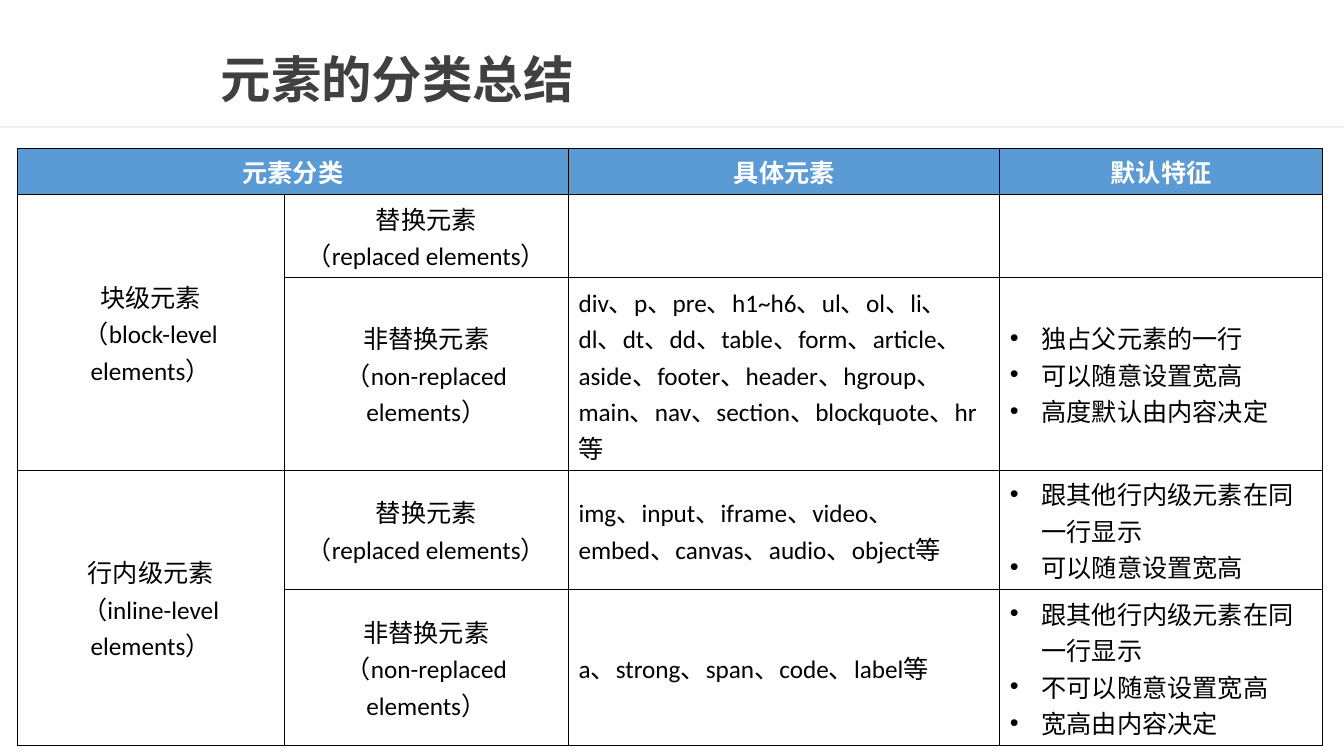
from lxml import etree
from pptx import Presentation
from pptx.dml.color import RGBColor
from pptx.enum.shapes import MSO_SHAPE
from pptx.enum.text import MSO_ANCHOR, PP_ALIGN
from pptx.oxml.ns import qn
from pptx.util import Pt

RECT = MSO_SHAPE.RECTANGLE
MIDDLE = MSO_ANCHOR.MIDDLE
LEFT, CENTER = PP_ALIGN.LEFT, PP_ALIGN.CENTER

COLORS = {"title": "404040", "rule": "EAEAEA", "head": "5B9BD5",
          "white": "FFFFFF", "black": "000000"}
LATIN, CJK = "Calibri", "Noto Sans CJK SC"
LINE, PAD = 26, 7.2  # height of a text line, and a cell's vertical margins

COLS = [190.8, 203.04, 308.16, 230.4]
LINES = [1, 2, 5, 3, 4]  # text lines in each row
MERGES = [(0, 0, 0, 1), (1, 0, 2, 0), (3, 0, 4, 0)]
REPLACED = ["替换元素", "（replaced elements）"]
PLAIN = ["非替换元素", "（non-replaced elements）"]
ROWS = [
    [["元素分类"], [], ["具体元素"], ["默认特征"]],
    [["块级元素", "（block-level elements）"], REPLACED, [], []],
    [[], PLAIN,
     ["div、p、pre、h1~h6、ul、ol、li、dl、dt、dd、table、form、article、aside、"
      "footer、header、hgroup、main、nav、section、blockquote、hr等"],
     ["独占父元素的一行", "可以随意设置宽高", "高度默认由内容决定"]],
    [["行内级元素", "（inline-level elements）"], REPLACED,
     ["img、input、iframe、video、embed、canvas、audio、object等"],
     ["跟其他行内级元素在同一行显示", "可以随意设置宽高"]],
    [[], PLAIN, ["a、strong、span、code、label等"],
     ["跟其他行内级元素在同一行显示", "不可以随意设置宽高", "宽高由内容决定"]],
]


def color(name):
    return RGBColor.from_string(COLORS[name])


def write(para, text, size=18, face=LATIN, ink="black", bold=False,
          align=LEFT, space=None, bullet=False):
    para.alignment = align
    if space:
        para.line_spacing = space
    run = para.add_run()
    run.text = text
    font = run.font
    font.size, font.name, font.bold = Pt(size), face, bold
    font.color.rgb = color(ink)
    etree.SubElement(font._element, qn("a:ea"), typeface=CJK)
    if bullet:
        props = para._p.get_or_add_pPr()
        props.set("marL", str(Pt(22.5)))
        props.set("indent", str(-Pt(22.5)))
        etree.SubElement(props, qn("a:buFont"), typeface="Arial")
        etree.SubElement(props, qn("a:buChar"), char="•")


def outline(cell):
    """Put a thin black line on each side of a cell."""
    props = cell._tc.get_or_add_tcPr()
    for spot, side in enumerate(("lnL", "lnR", "lnT", "lnB")):
        line = etree.Element(qn(f"a:{side}"), w=str(Pt(1)))
        fill = etree.SubElement(line, qn("a:solidFill"))
        etree.SubElement(fill, qn("a:srgbClr"), val=COLORS["black"])
        props.insert(spot, line)


class Page:
    def __init__(self, deck):
        self.slide = deck.slides.add_slide(deck.slide_layouts[5])
        self.shapes = self.slide.shapes

    def rule(self, x, y, w, h, alpha):
        bar = self.shapes.add_shape(RECT, Pt(x), Pt(y), Pt(w), Pt(h))
        bar.shadow.inherit = False
        bar.line.fill.background()
        bar.fill.solid()
        bar.fill.fore_color.rgb = color("rule")
        tint = bar._element.spPr.find(".//" + qn("a:srgbClr"))
        etree.SubElement(tint, qn("a:alpha"), val=str(alpha * 1000))

    def title(self, text, x, y, w, h):
        box = self.shapes.title
        box.left, box.top, box.width, box.height = Pt(x), Pt(y), Pt(w), Pt(h)
        box.text_frame.vertical_anchor = MIDDLE
        write(box.text_frame.paragraphs[0], text, size=36, face=CJK,
              ink="title", bold=True, space=0.9)

    def table(self, x, y):
        highs = [n * LINE + PAD for n in LINES]
        grid = self.shapes.add_table(len(ROWS), len(COLS), Pt(x), Pt(y),
                                     Pt(sum(COLS)), Pt(sum(highs))).table
        grid.horz_banding = False
        for col, wide in zip(grid.columns, COLS):
            col.width = Pt(wide)
        for row, high in zip(grid.rows, highs):
            row.height = Pt(high)
        for top, left, low, right in MERGES:
            grid.cell(top, left).merge(grid.cell(low, right))
        for r, row in enumerate(ROWS):
            for c, texts in enumerate(row):
                self.cell(grid.cell(r, c), texts, r == 0, c)

    def cell(self, cell, texts, head, col):
        cell.vertical_anchor = MIDDLE
        if head:
            cell.fill.solid()
            cell.fill.fore_color.rgb = color("head")
        else:
            cell.fill.background()
        outline(cell)
        frame = cell.text_frame
        for i, text in enumerate(texts):
            para = frame.add_paragraph() if i else frame.paragraphs[0]
            write(para, text, ink="white" if head else "black", bold=head,
                  align=CENTER if head or col < 2 else LEFT,
                  bullet=col == 3 and not head)


def main():
    deck = Presentation()
    deck.slide_width, deck.slide_height = Pt(960), Pt(540)
    page = Page(deck)
    page.rule(0, 90, 960, 1.5, alpha=69)
    page.title("元素的分类总结", 150.5, 31, 794, 56)
    page.table(12.24, 105.84)
    deck.save("out.pptx")


if __name__ == "__main__":
    main()
